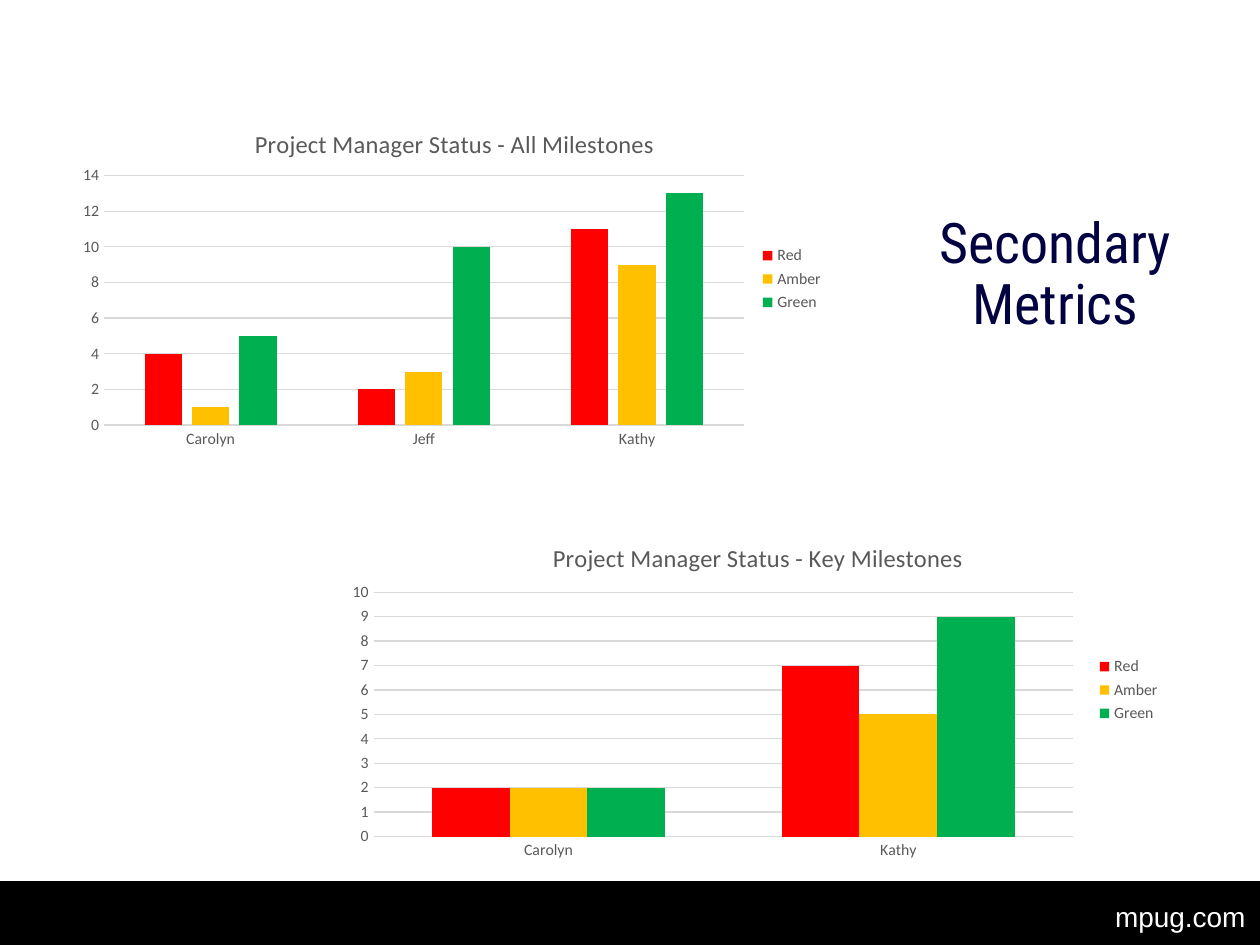
"""Build the secondary metrics slide with two milestone status charts."""
from lxml import etree
from pptx import Presentation
from pptx import util as u
from pptx.chart import data as cd
from pptx.dml.color import RGBColor
from pptx.enum import chart as ch, shapes, text
from pptx.oxml import ns

BLACK = RGBColor(0x00, 0x00, 0x00)
WHITE = RGBColor(0xFF, 0xFF, 0xFF)
NAVY = RGBColor(0x02, 0x02, 0x42)
GREY = RGBColor(0x59, 0x59, 0x59)
GRID = RGBColor(0xD9, 0xD9, 0xD9)
STATUS = {
    "Red": RGBColor(0xFF, 0x00, 0x00),
    "Amber": RGBColor(0xFF, 0xC0, 0x00),
    "Green": RGBColor(0x00, 0xB0, 0x50),
}


def set_font(font, name, size, color):
    font.name, font.size, font.bold = name, u.Pt(size), False
    font.color.rgb = color


def write(tf, content, name="Calibri", size=14, color=GREY, align=None, spacing=None):
    for i, line in enumerate(content.split("\n")):
        p = tf.add_paragraph() if i else tf.paragraphs[0]
        p.alignment, p.line_spacing = align, spacing
        r = p.add_run()
        r.text = line
        set_font(r.font, name, size, color)


def set_layout(parent, index, **values):
    for old in parent.findall(ns.qn("c:layout")):
        parent.remove(old)
    layout = etree.Element(ns.qn("c:layout"))
    manual = etree.SubElement(layout, ns.qn("c:manualLayout"))
    for tag, value in values.items():
        etree.SubElement(manual, ns.qn(f"c:{tag}")).set("val", str(value))
    parent.insert(index, layout)


class Deck:
    def __init__(self):
        self.prs = Presentation()
        self.prs.slide_width, self.prs.slide_height = u.Cm(25.4), u.Cm(19.05)
        self.s = self.prs.slides.add_slide(self.prs.slide_layouts[6])

    def bar(self, box, color):
        sp = self.s.shapes.add_shape(shapes.MSO_SHAPE.RECTANGLE, *map(u.Cm, box))
        sp.shadow.inherit = False
        sp.fill.solid()
        sp.fill.fore_color.rgb = color
        sp.line.color.rgb = color
        sp.line.width = u.Pt(0.75)

    def label(self, box, content, wrap=True, **fmt):
        tf = self.s.shapes.add_textbox(*map(u.Cm, box)).text_frame
        tf.word_wrap = wrap
        tf.auto_size = text.MSO_AUTO_SIZE.NONE if wrap else text.MSO_AUTO_SIZE.SHAPE_TO_FIT_TEXT
        write(tf, content, **fmt)

    def chart(self, box, title, cats, rows, gap, overlap, title_at, plot_at, axis_line):
        data = cd.CategoryChartData()
        data.categories = cats
        for name, vals in zip(STATUS, rows):
            data.add_series(name, vals)
        chart = self.s.shapes.add_chart(
            ch.XL_CHART_TYPE.COLUMN_CLUSTERED, *map(u.Cm, box), data).chart
        set_font(chart.font, "Calibri", 10, BLACK)

        chart.has_title = True
        write(chart.chart_title.text_frame, title)
        chart.chart_title.include_in_layout = False
        modes = dict(xMode="edge", yMode="edge")
        set_layout(chart.element.xpath("c:chart/c:title")[0], 1,
                   **modes, **dict(zip("xy", title_at)))
        set_layout(chart.element.xpath("c:chart/c:plotArea")[0], 0,
                   layoutTarget="inner", **modes, **dict(zip("xywh", plot_at)))

        chart.has_legend = True
        chart.legend.position = ch.XL_LEGEND_POSITION.RIGHT
        chart.legend.include_in_layout = False
        set_font(chart.legend.font, "Calibri", 9, GREY)

        plot = chart.plots[0]
        plot.vary_by_categories = False
        plot.gap_width, plot.overlap = gap, overlap
        for series in plot.series:
            series.format.fill.solid()
            series.format.fill.fore_color.rgb = STATUS[series.name]

        for axis in (chart.category_axis, chart.value_axis):
            axis.major_tick_mark = axis.minor_tick_mark = ch.XL_TICK_MARK.NONE
            set_font(axis.tick_labels.font, "Calibri", 9, GREY)
            axis.format.line.fill.background()
        chart.value_axis.has_major_gridlines = True
        lines = [chart.value_axis.major_gridlines.format.line]
        if axis_line:
            lines.append(chart.category_axis.format.line)
        for line in lines:
            line.color.rgb = GRID
            line.width = u.Pt(0.75)


def main():
    d = Deck()
    d.bar((0, 17.78, 25.4, 1.27), BLACK)
    d.label((22.23, 18.01, 3.17, 0.94), "mpug.com", wrap=False,
            name="Arial", size=16, color=WHITE)
    d.label((15.7, 4.22, 11.15, 1.9), "Secondary\nMetrics", name="Roboto Condensed",
            size=32, color=NAVY, align=text.PP_ALIGN.CENTER, spacing=0.9)
    d.chart((1.32, 2.03, 15.54, 7.19), "Project Manager Status - All Milestones",
            ["Carolyn", "Jeff", "Kathy"], [(4, 2, 11), (1, 3, 9), (5, 10, 13)],
            gap=219, overlap=-27, title_at=(0.24, 0.06),
            plot_at=(0.05, 0.21, 0.83, 0.7), axis_line=True)
    d.chart((6.86, 10.39, 16.79, 7.04), "Project Manager Status - Key Milestones",
            ["Carolyn", "Kathy"], [(2, 7), (2, 5), (2, 9)],
            gap=150, overlap=0, title_at=(0.25, 0.06),
            plot_at=(0.04, 0.22, 0.84, 0.7), axis_line=False)
    d.prs.save("out.pptx")


if __name__ == "__main__":
    main()
